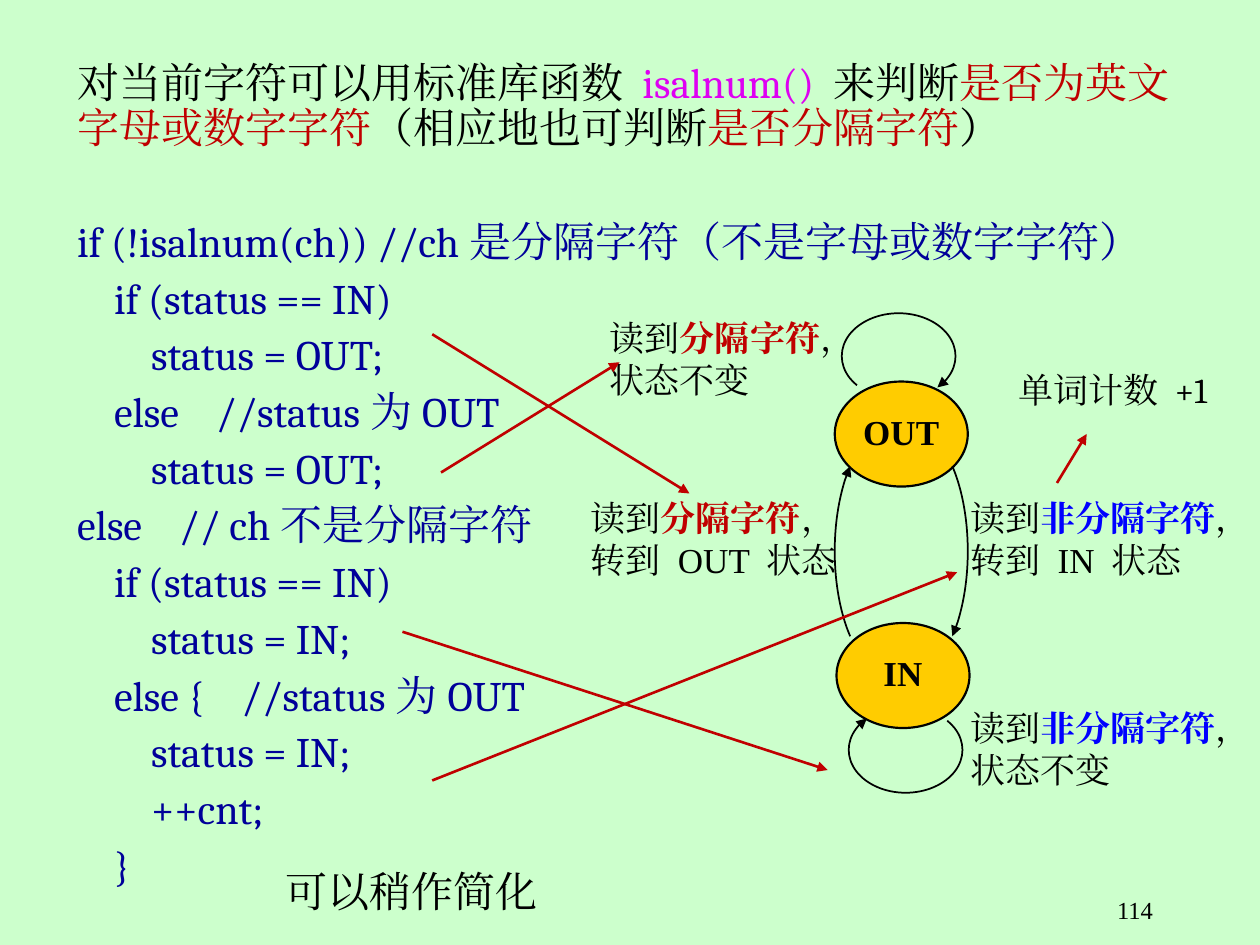
from lxml import etree
from pptx import Presentation
from pptx import util as u
from pptx.dml.color import RGBColor
from pptx.enum import shapes, text
from pptx.oxml import ns

Pt = u.Pt
BLACK = RGBColor(0x00, 0x00, 0x00)
RED = RGBColor(0xC0, 0x00, 0x00)
BLUE = RGBColor(0x00, 0x00, 0xFF)
NAVY = RGBColor(0x00, 0x00, 0x99)
MAGENTA = RGBColor(0xDE, 0x00, 0xF2)
GOLD = RGBColor(0xFF, 0xCC, 0x00)
MINT = RGBColor(0xCC, 0xFF, 0xCC)

CAMBRIA, TIMES, SANS = "Cambria", "Times New Roman", "Noto Sans CJK SC"

INTRO = [
    ("对当前字符可以用标准库函数 ", BLACK),
    ("isalnum() ", MAGENTA),
    ("来判断", BLACK),
    ("是否为英文字母或数字字符", RED),
    ("（相应地也可判断", BLACK),
    ("是否分隔字符", RED),
    ("）", BLACK),
]
CODE = """if (!isalnum(ch)) //ch是分隔字符（不是字母或数字字符）
    if (status == IN)
        status = OUT;
    else    //status为OUT
        status = OUT;
else    // ch不是分隔字符
    if (status == IN)
        status = IN;
    else {    //status为OUT
        status = IN;
        ++cnt;
    }""".split("\n")

NOTES = [
    (11, 2, 149, "分隔字符", RED, ["，", "状态不变"], SANS),
    (0, 105, 148, "分隔字符", RED, ["，", "转到 OUT 状态"], TIMES),
    (217, 105, 167, "非分隔字符", BLUE, ["，转到 IN 状态"], TIMES),
    (217, 225, 167, "非分隔字符", BLUE, ["，", "状态不变"], SANS),
]
STATES = [(141, 40, "OUT"), (142, 178, "IN")]
TRANSITIONS = [
    (145, 1, 65, 49, 145, 39),
    (149, 226, 65, 49, 325, 219),
    (152, 66, 65, 142, 296, 64),
    (141, 66, 65, 142, 116, 244),
]
CODE_LINKS = [
    (17, 0, 164, 91),
    (22, 79, 124, 16),
    (0, 170, 243, 249),
    (17, 255, 317, 136),
]


def add_run(paragraph, content, size, color, name, bold=False):
    run = paragraph.add_run()
    run.text = content
    font = run.font
    font.size, font.name, font.bold = Pt(size), name, bold
    font.color.rgb = color
    east_asian = etree.SubElement(run._r.get_or_add_rPr(), ns.qn("a:ea"))
    east_asian.set("typeface", TIMES if name == SANS else name)


def add_text_box(slide, left, top, width, height):
    shape = slide.shapes.add_textbox(Pt(left), Pt(top), Pt(width), Pt(height))
    shape.text_frame.word_wrap = True
    return shape.text_frame


def add_label(slide, box, content, size, name, align=text.PP_ALIGN.LEFT):
    paragraph = add_text_box(slide, *box).paragraphs[0]
    paragraph.alignment = align
    add_run(paragraph, content, size, BLACK, name)


def add_arrowhead(shape):
    tail = etree.SubElement(shape.line._get_or_add_ln(), ns.qn("a:tailEnd"))
    tail.set("type", "triangle")


def add_arrow(slide, left, top, ends):
    x1, y1, x2, y2 = ends
    arrow = slide.shapes.add_connector(
        shapes.MSO_CONNECTOR.STRAIGHT,
        Pt(left + x1), Pt(top + y1), Pt(left + x2), Pt(top + y2))
    arrow.line.color.rgb = RED
    arrow.line.width = Pt(1.5)
    add_arrowhead(arrow)
    etree.SubElement(arrow._element.spPr, ns.qn("a:effectLst"))


def add_code(slide, box):
    frame = add_text_box(slide, *box)
    intro = frame.paragraphs[0]
    intro.line_spacing = 0.9
    for content, color in INTRO:
        add_run(intro, content, 24, color, CAMBRIA)
    for index, line in enumerate(CODE):
        paragraph = frame.add_paragraph()
        paragraph.line_spacing = 0.9
        paragraph.space_before = Pt(6.5 if index else 39)
        add_run(paragraph, line, 24, NAVY, CAMBRIA)


def add_note(slide, left, top, width, keyword, color, ending, name):
    frame = add_text_box(slide, left, top, width, 69)
    frame.margin_left = frame.margin_right = Pt(1.5)
    frame.margin_top = frame.margin_bottom = Pt(0.75)
    paragraph = frame.paragraphs[0]
    add_run(paragraph, "读到", 20, BLACK, name)
    add_run(paragraph, keyword, 20, color, name, bold=True)
    for index, line in enumerate(ending):
        if index:
            paragraph.add_line_break()
        add_run(paragraph, line, 20, BLACK, name)


def add_state(slide, left, top, name):
    state = slide.shapes.add_shape(
        shapes.MSO_SHAPE.OVAL, Pt(left), Pt(top), Pt(76), Pt(60))
    state.shadow.inherit = False
    state.fill.solid()
    state.fill.fore_color.rgb = GOLD
    state.line.color.rgb = BLACK
    state.line.width = Pt(1.25)
    frame = state.text_frame
    frame.vertical_anchor = text.MSO_ANCHOR.MIDDLE
    frame.margin_left = frame.margin_right = 0
    frame.margin_top, frame.margin_bottom = 0, Pt(3)
    frame.paragraphs[0].alignment = text.PP_ALIGN.CENTER
    add_run(frame.paragraphs[0], name, 20, BLACK, TIMES, bold=True)


def add_transition(slide, left, top, width, height, start, end):
    arc = slide.shapes.add_shape(
        shapes.MSO_SHAPE.ARC, Pt(left), Pt(top), Pt(width), Pt(height))
    arc.shadow.inherit = False
    arc.adjustments[0] = start * 0.6
    arc.adjustments[1] = end * 0.6
    arc.fill.background()
    arc.line.color.rgb = BLACK
    arc.line.width = Pt(1)
    add_arrowhead(arc)


def add_state_diagram(slide, left, top):
    for x, y, *details in NOTES:
        add_note(slide, left + x, top + y, *details)
    for x, y, name in STATES:
        add_state(slide, left + x, top + y, name)
    for x, y, *details in TRANSITIONS:
        add_transition(slide, left + x, top + y, *details)
    add_arrow(slide, left, top, (268, 98, 285, 70))
    add_label(slide, (left + 239, top + 29, 144, 31), "单词计数 +1", 20, CAMBRIA)


def add_code_links(slide, left, top):
    for ends in CODE_LINKS:
        add_arrow(slide, left, top, ends)


def main():
    presentation = Presentation()
    presentation.slide_width, presentation.slide_height = Pt(720), Pt(540)
    slide = presentation.slides.add_slide(presentation.slide_layouts[6])
    slide.background.fill.solid()
    slide.background.fill.fore_color.rgb = MINT
    add_label(slide, (516, 508, 150, 20), "114", 14, TIMES, text.PP_ALIGN.RIGHT)
    add_code(slide, (37, 32, 647, 471))
    add_state_diagram(slide, 336, 178)
    add_label(slide, (156, 491, 170, 36), "可以稍作简化", 24, CAMBRIA)
    add_code_links(slide, 230, 191)
    presentation.save("out.pptx")


if __name__ == "__main__":
    main()
